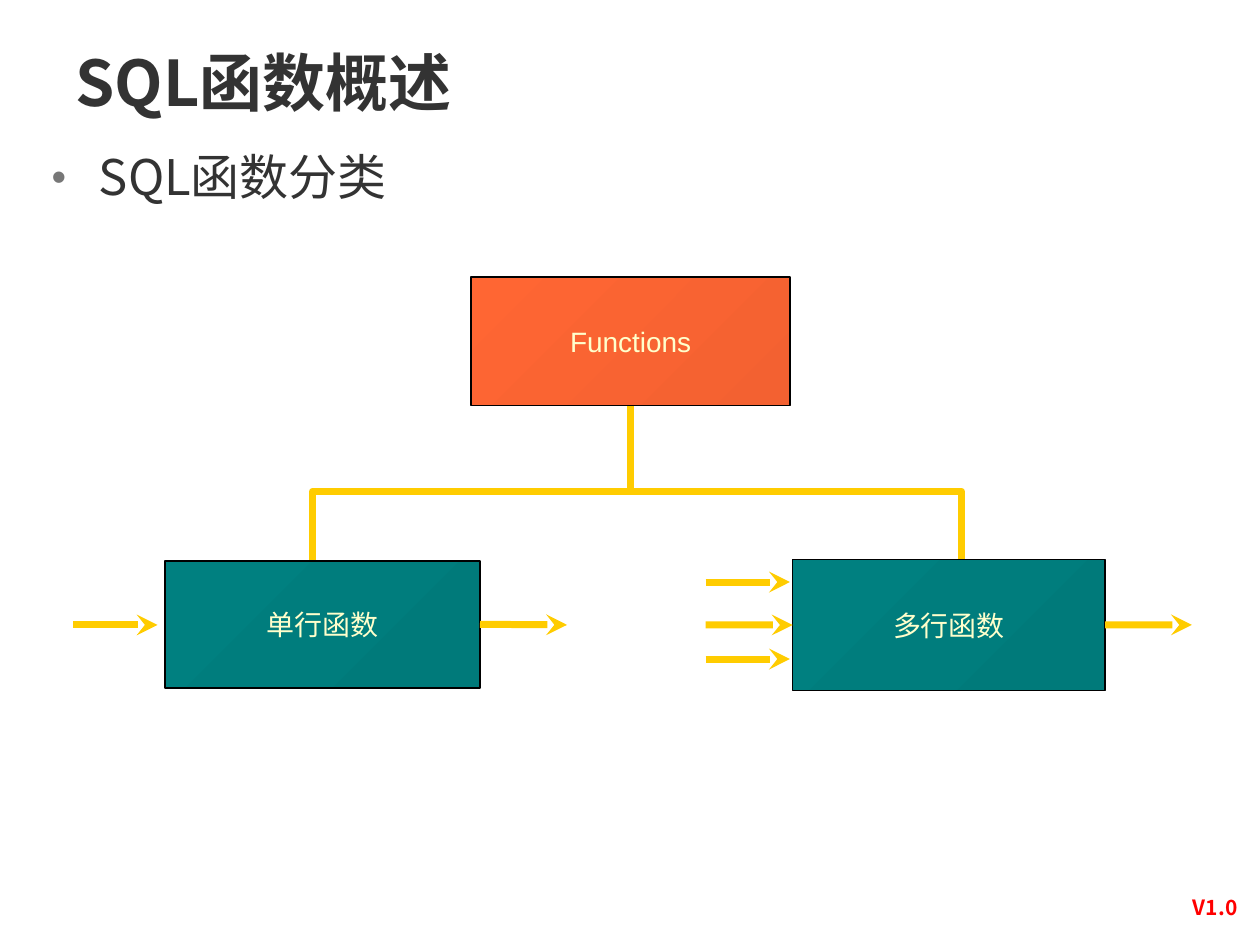
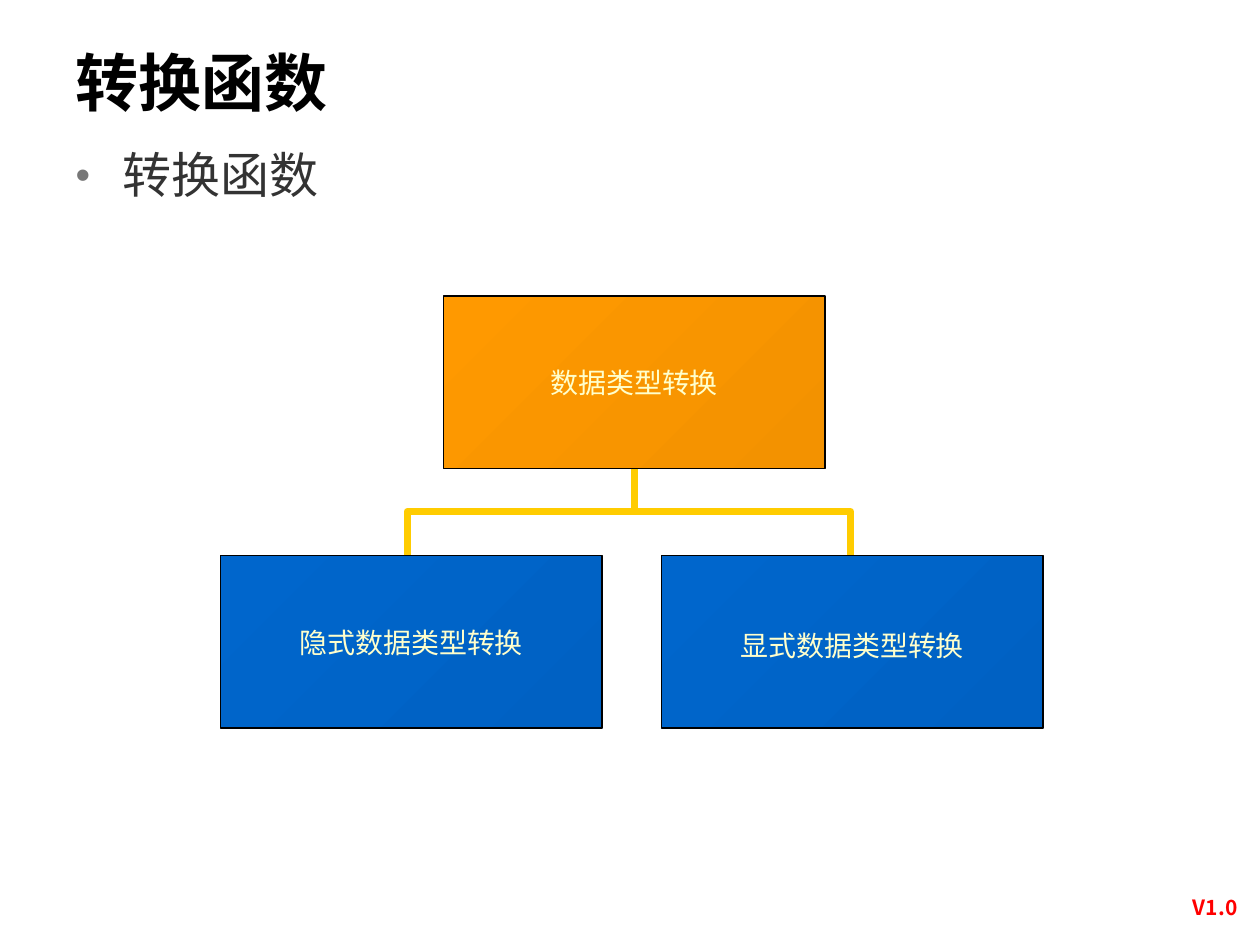
"""Build two slides of SQL function trees."""
from lxml.etree import SubElement
from pptx import Presentation
from pptx.dml.color import RGBColor
from pptx.enum.shapes import MSO_CONNECTOR, MSO_SHAPE
from pptx.enum.text import MSO_ANCHOR, MSO_AUTO_SIZE, PP_ALIGN
from pptx.oxml.ns import qn
from pptx.util import Pt

COLORS = {
    "ink": "333333", "black": "000000", "bullet": "777777", "version": "FF0000",
    "label": "FFFFCC", "wire": "FFCC00",
    "red": "FF6633", "red_end": "F36131", "teal": "008080", "teal_end": "007A7A",
    "blue": "0066CC", "blue_end": "0061C3", "orange": "FF9900", "orange_end": "F39200",
}
CJK = "Noto Sans CJK SC"
FORMATS = {
    "title": {"size": Pt(36), "bold": True, "name": CJK},
    "topic": {"size": Pt(28), "bold": False, "name": CJK},
    "version": {"size": Pt(12), "bold": True, "name": CJK},
    "node": {"size": Pt(16), "bold": False, "name": "Arial"},
}
TEXT_LINE = 0.9
TITLE_AREA = (36, 21.6, 573.8, 55.4)
VERSION_AREA = (666, 509, 56.9, 21.6)
TOPIC_SIZE = (641.5, 391)
HANGING = 27
WIRE_WIDTH = 4
ARROW_LENGTH = 48.2
TREE_NODE = (218.2, 98.6)

SLIDES = [
    {
        "title": "SQL函数概述", "title_color": "ink",
        "topic": "SQL函数分类", "topic_at": (22.3, 84.2),
        "root": {"label": "Functions", "area": (269.3, 158.4, 182.2, 73.4), "color": "red"},
        "children": [
            {"label": "单行函数", "area": (94.3, 320.4, 180, 72.7), "color": "teal"},
            {"label": "多行函数", "area": (452.9, 319.7, 178.6, 74.9), "color": "teal"},
        ],
        "branch": {"y": 280.8, "xs": (178.6, 549.4)},
        "arrows": [
            {"x": 41.8, "y": 357.1},
            {"x": 275.8, "y": 357.1, "from_child": 0},
            {"x": 403.2, "y": 357.1, "to_child": 1},
            {"x": 632.9, "y": 357.1, "from_child": 1},
            {"x": 403.2, "y": 332.6},
            {"x": 403.2, "y": 376.6},
        ],
    },
    {
        "title": "转换函数", "title_color": "black",
        "topic": "转换函数", "topic_at": (36, 82.8),
        "root": {"label": "数据类型转换", "area": (253.4, 169.2, *TREE_NODE), "color": "orange"},
        "children": [
            {"label": "隐式数据类型转换", "area": (126, 317.5, *TREE_NODE), "color": "blue"},
            {"label": "显式数据类型转换", "area": (378, 317.5, *TREE_NODE), "color": "blue",
             "font": "Arial Narrow", "line_spacing": 1.2},
        ],
        "branch": {"y": 292.3, "xs": (232.6, 486)},
        "arrows": [],
    },
]


def rgb(name):
    return RGBColor.from_string(COLORS[name])


def assign(target, values):
    for attribute, value in values.items():
        setattr(target, attribute, value)


def place(shape, area):
    assign(shape, dict(zip(("left", "top", "width", "height"), map(Pt, area))))


def write(shape, text, style, color, align, line_spacing=TEXT_LINE, font=None, **frame_values):
    frame = shape.text_frame
    assign(frame, {"auto_size": MSO_AUTO_SIZE.NONE, "word_wrap": True, **frame_values})
    paragraph = frame.paragraphs[0]
    assign(paragraph, {"alignment": align, "line_spacing": line_spacing, "space_before": Pt(0)})
    run = paragraph.add_run()
    run.text = text
    run.font.color.rgb = rgb(color)
    assign(run.font, FORMATS[style])
    if font:
        run.font.name = font
    for properties in shape.element.iter(qn("a:rPr")):
        SubElement(properties, qn("a:ea"), typeface=CJK)


def add_bullet(shape):
    properties = next(shape.element.iter(qn("a:pPr")))
    properties.set("marL", str(Pt(HANGING)))
    properties.set("indent", str(-Pt(HANGING)))
    bullet_color = SubElement(properties, qn("a:buClr"))
    SubElement(bullet_color, qn("a:srgbClr"), val=COLORS["bullet"])
    SubElement(properties, qn("a:buSzPct"), val="85000")
    SubElement(properties, qn("a:buFont"), typeface="Arial")
    SubElement(properties, qn("a:buChar"), char="•")


def style_line(shape, color, width):
    shape.line.color.rgb = rgb(color)
    shape.line.width = Pt(width)


def add_node(slide, node):
    box = slide.shapes.add_shape(MSO_SHAPE.RECTANGLE, *map(Pt, node["area"]))
    box.shadow.inherit = False
    box.fill.gradient()
    box.fill.gradient_angle = 315
    for stop, color in zip(box.fill.gradient_stops, (node["color"], node["color"] + "_end")):
        stop.color.rgb = rgb(color)
    style_line(box, "black", 1)
    write(box, node["label"], "node", "label", PP_ALIGN.CENTER,
          node.get("line_spacing", 1.0), node.get("font"),
          word_wrap=False, vertical_anchor=MSO_ANCHOR.MIDDLE)
    return box


def add_wire(slide, start, end, arrow=False):
    wire = slide.shapes.add_connector(MSO_CONNECTOR.STRAIGHT, *map(Pt, (*start, *end)))
    style_line(wire, "wire", WIRE_WIDTH)
    properties = wire.element.spPr
    if arrow:
        SubElement(properties.find(qn("a:ln")), qn("a:tailEnd"), type="stealth")
    SubElement(properties, qn("a:effectLst"))
    return wire


def add_branch(slide, branch, children):
    left, right = branch["xs"]
    left_end, right_end = (child["area"][1] + 1 for child in children)
    outline = slide.shapes.build_freeform(Pt(left), Pt(left_end))
    corners = [(left, branch["y"]), (right, branch["y"]), (right, right_end)]
    outline.add_line_segments([(Pt(x), Pt(y)) for x, y in corners], close=False)
    bracket = outline.convert_to_shape()
    bracket.fill.background()
    bracket.shadow.inherit = False
    style_line(bracket, "wire", WIRE_WIDTH)


def add_tree(slide, content):
    branch = content["branch"]
    add_branch(slide, branch, content["children"])
    left, top, width, height = content["root"]["area"]
    center = left + width / 2
    trunk = add_wire(slide, (center, branch["y"]), (center, top + height))
    trunk.end_connect(add_node(slide, content["root"]), 2)
    children = [add_node(slide, child) for child in content["children"]]
    for arrow in content["arrows"]:
        x, y = arrow["x"], arrow["y"]
        wire = add_wire(slide, (x, y), (x + ARROW_LENGTH, y), arrow=True)
        if "from_child" in arrow:
            wire.begin_connect(children[arrow["from_child"]], 3)
        if "to_child" in arrow:
            wire.end_connect(children[arrow["to_child"]], 1)


def add_slide(deck, content):
    slide = deck.slides.add_slide(deck.slide_layouts[1])
    title, topic = slide.placeholders
    place(title, TITLE_AREA)
    write(title, content["title"], "title", content["title_color"], PP_ALIGN.LEFT,
          vertical_anchor=MSO_ANCHOR.MIDDLE)
    place(topic, (*content["topic_at"], *TOPIC_SIZE))
    write(topic, content["topic"], "topic", "ink", PP_ALIGN.LEFT)
    add_bullet(topic)
    version = slide.shapes.add_textbox(*map(Pt, VERSION_AREA))
    write(version, "V1.0", "version", "version", PP_ALIGN.CENTER)
    add_tree(slide, content)


def main():
    deck = Presentation()
    assign(deck, {"slide_width": Pt(720), "slide_height": Pt(540)})
    for content in SLIDES:
        add_slide(deck, content)
    deck.save("out.pptx")


if __name__ == "__main__":
    main()
